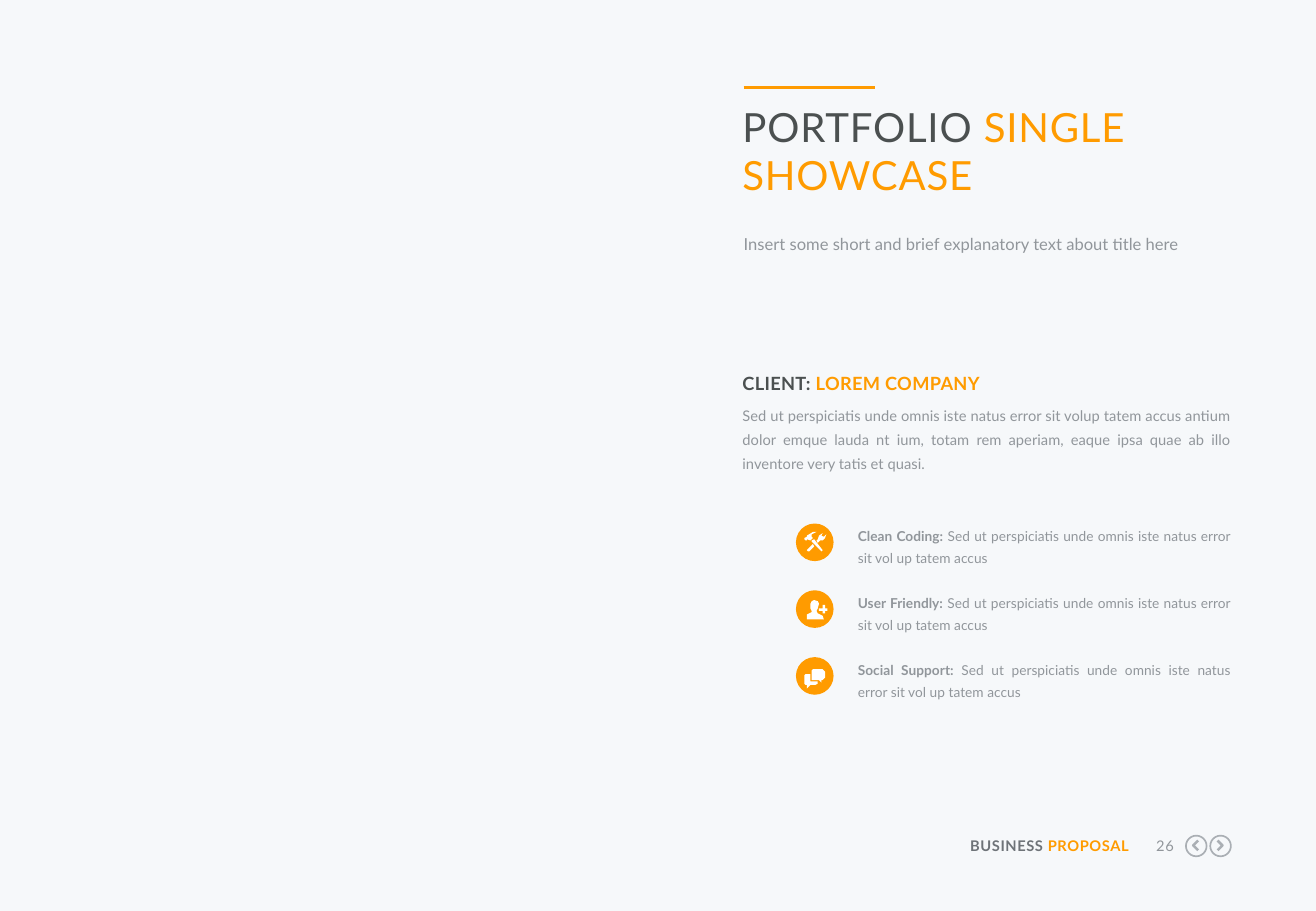
from dataclasses import dataclass

from lxml import etree
from pptx import Presentation
from pptx.dml.color import RGBColor
from pptx.enum.shapes import MSO_CONNECTOR, MSO_SHAPE
from pptx.enum.text import PP_ALIGN
from pptx.oxml.ns import qn
from pptx.util import Inches, Pt

LEFT, RIGHT, JUSTIFY = PP_ALIGN.LEFT, PP_ALIGN.RIGHT, PP_ALIGN.JUSTIFY
ELLIPSE, STRAIGHT = MSO_SHAPE.OVAL, MSO_CONNECTOR.STRAIGHT
ORANGE = RGBColor(0xFF, 0x9B, 0x00)
PAPER = RGBColor(0xF6, 0xF8, 0xFA)
WHITE = RGBColor(0xFF, 0xFF, 0xFF)
CHARCOAL = RGBColor(0x4B, 0x50, 0x50)
SLATE = RGBColor(0x6E, 0x73, 0x78)
GREY = RGBColor(0x91, 0x96, 0x9B)
SILVER = RGBColor(0xAA, 0xAF, 0xB4)
FONT = "Lato"

Points = list[tuple[float, float]]


@dataclass(frozen=True)
class Span:
    text: str
    color: RGBColor = GREY
    bold: bool = False


@dataclass(frozen=True)
class Feature:
    name: str
    icon: list[Points]


@dataclass(frozen=True)
class NavButton:
    left: float
    chevron: Points


HAMMER = [(0.09, 0.13), (0.12, 0.14), (0.14, 0.12), (0.13, 0.11), (0.13, 0.09),
          (0.17, 0.07), (0.14, 0.07), (0.09, 0.10), (0.09, 0.11), (0.07, 0.12),
          (0.07, 0.13), (0.08, 0.14), (0.09, 0.14)]
HAMMER_HANDLE = [(0.15, 0.13), (0.13, 0.14), (0.13, 0.15), (0.21, 0.23), (0.22, 0.22)]
WRENCH = [(0.25, 0.09), (0.23, 0.11), (0.21, 0.10), (0.22, 0.08), (0.19, 0.10),
          (0.18, 0.13), (0.17, 0.14), (0.18, 0.16), (0.20, 0.14), (0.22, 0.14),
          (0.24, 0.12)]
WRENCH_HANDLE = [(0.09, 0.22), (0.10, 0.23), (0.11, 0.23), (0.15, 0.19), (0.14, 0.17)]
PERSON = [(0.23, 0.24), (0.09, 0.24), (0.09, 0.20), (0.13, 0.18), (0.13, 0.17),
          (0.12, 0.15), (0.12, 0.11), (0.13, 0.09), (0.15, 0.08), (0.18, 0.09),
          (0.19, 0.11), (0.18, 0.15), (0.17, 0.17), (0.18, 0.19), (0.22, 0.21)]
PLUS = [(0.26, 0.15), (0.26, 0.17), (0.24, 0.17), (0.24, 0.19), (0.22, 0.19),
        (0.22, 0.17), (0.19, 0.17), (0.19, 0.15), (0.22, 0.15), (0.22, 0.12),
        (0.24, 0.12), (0.24, 0.15)]
BACK_BUBBLE = [(0.18, 0.20), (0.18, 0.22), (0.16, 0.23), (0.12, 0.23), (0.09, 0.26),
               (0.09, 0.23), (0.08, 0.23), (0.07, 0.22), (0.07, 0.15), (0.08, 0.14),
               (0.12, 0.14), (0.12, 0.20)]
FRONT_BUBBLE = [(0.24, 0.12), (0.24, 0.17), (0.22, 0.19), (0.21, 0.19), (0.21, 0.21),
                (0.19, 0.19), (0.13, 0.19), (0.13, 0.11), (0.14, 0.10), (0.22, 0.10)]

FEATURES = [
    Feature("Clean Coding:", [HAMMER, HAMMER_HANDLE, WRENCH, WRENCH_HANDLE]),
    Feature("User Friendly:", [PERSON, PLUS]),
    Feature("Social Support:", [BACK_BUBBLE, FRONT_BUBBLE]),
]
FEATURE_TEXT = " Sed ut perspiciatis unde omnis iste natus error sit vol up tatem accus"
FEATURE_TOP, FEATURE_STEP = 4.3, 0.55
DISC_LEFT, DISC_SIZE = 6.55, 0.31

NAV_TOP, NAV_SIZE = 6.88, 0.17
NAV_BUTTONS = [
    NavButton(9.76, [(0.1, 0.04), (0.06, 0.08), (0.1, 0.12)]),
    NavButton(9.96, [(0.06, 0.04), (0.1, 0.08), (0.06, 0.12)]),
]


def add_text(slide, spans: list[Span], left: float, top: float, width: float,
             height: float, *, size: float, align=LEFT, leading: float | None = None,
             after: float = 0, tracking: float = 0) -> None:
    frame = slide.shapes.add_textbox(
        Inches(left), Inches(top), Inches(width), Inches(height)).text_frame
    frame.word_wrap = True
    frame.margin_left = frame.margin_right = frame.margin_top = frame.margin_bottom = 0
    paragraph = frame.paragraphs[0]
    paragraph.alignment = align
    paragraph.space_after = Pt(after)
    if leading:
        paragraph.line_spacing = Pt(leading)
    for span in spans:
        run = paragraph.add_run()
        run.text = span.text
        run.font.name = FONT
        run.font.size = Pt(size)
        run.font.bold = span.bold
        run.font.color.rgb = span.color
        if tracking:
            run.font._element.set("spc", str(round(tracking * 100)))


def paint(shape, fill: RGBColor | None = None, line: RGBColor | None = None,
          weight: float = 1) -> None:
    shape.shadow.inherit = False
    if fill is None:
        shape.fill.background()
    else:
        shape.fill.solid()
        shape.fill.fore_color.rgb = fill
    if line is None:
        shape.line.fill.background()
    else:
        shape.line.color.rgb = line
        shape.line.width = Pt(weight)


def add_disc(slide, left: float, top: float, size: float):
    return slide.shapes.add_shape(
        ELLIPSE, Inches(left), Inches(top), Inches(size), Inches(size))


def add_outline(slide, contours: list[Points], left: float, top: float, closed: bool):
    placed = [[(Inches(left + x), Inches(top + y)) for x, y in contour]
              for contour in contours]
    builder = slide.shapes.build_freeform(*placed[0][0])
    for index, contour in enumerate(placed):
        if index:
            builder.move_to(*contour[0])
        builder.add_line_segments(contour[1:], close=closed)
    return builder.convert_to_shape()


def add_title_rule(slide) -> None:
    rule = slide.shapes.add_connector(
        STRAIGHT, Inches(6.12), Inches(0.72), Inches(7.2), Inches(0.72))
    rule.line.color.rgb = ORANGE
    rule.line.width = Pt(2.25)
    etree.SubElement(rule._element.spPr, qn("a:effectLst"))


def add_feature(slide, feature: Feature, top: float) -> None:
    disc_top = top + 0.01
    paint(add_disc(slide, DISC_LEFT, disc_top, DISC_SIZE), fill=ORANGE)
    paint(add_outline(slide, feature.icon, DISC_LEFT, disc_top, True), fill=WHITE)
    add_text(slide, [Span(feature.name, bold=True), Span(FEATURE_TEXT)],
             7.06, top, 3.07, 0.36, size=8.1, align=JUSTIFY, leading=13, after=6.5)


def add_nav_button(slide, button: NavButton) -> None:
    paint(add_disc(slide, button.left, NAV_TOP, NAV_SIZE), line=SILVER)
    chevron = add_outline(slide, [button.chevron], button.left, NAV_TOP, False)
    paint(chevron, line=SILVER, weight=1.5)


def main() -> None:
    deck = Presentation()
    deck.slide_width, deck.slide_height = Inches(10.83), Inches(7.5)
    slide = deck.slides.add_slide(deck.slide_layouts[6])
    slide.background.fill.solid()
    slide.background.fill.fore_color.rgb = PAPER

    add_title_rule(slide)
    add_text(slide, [Span("PORTFOLIO ", CHARCOAL), Span("SINGLE SHOWCASE", ORANGE)],
             6.11, 0.84, 4.02, 0.92, size=23.8, tracking=0.5)
    add_text(slide, [Span("Insert some short and brief explanatory text about title here")],
             6.12, 1.91, 4.02, 0.21, size=9.8, leading=13)
    add_text(slide, [Span("CLIENT: ", CHARCOAL, True), Span("LOREM COMPANY", ORANGE, True)],
             6.11, 2.99, 4.02, 0.25, size=10.8, leading=18.4, after=6.5, tracking=0.2)
    add_text(slide, [Span("Sed ut perspiciatis unde omnis iste natus error sit volup tatem "
                          "accus antium dolor emque lauda nt ium, totam rem aperiam, eaque "
                          "ipsa quae ab illo inventore very tatis et quasi.")],
             6.11, 3.3, 4.02, 0.59, size=8.7, align=JUSTIFY, leading=14.1, after=6.5)

    for index, feature in enumerate(FEATURES):
        add_feature(slide, feature, FEATURE_TOP + index * FEATURE_STEP)

    add_text(slide, [Span("BUSINESS ", SLATE, True), Span("PROPOSAL", ORANGE, True)],
             7.92, 6.89, 1.37, 0.15, size=8.7, align=RIGHT, tracking=0.3)
    add_text(slide, [Span("26")], 9.41, 6.89, 0.25, 0.15,
             size=8.7, align=RIGHT, tracking=0.3)
    for button in NAV_BUTTONS:
        add_nav_button(slide, button)

    deck.save("out.pptx")


if __name__ == "__main__":
    main()
